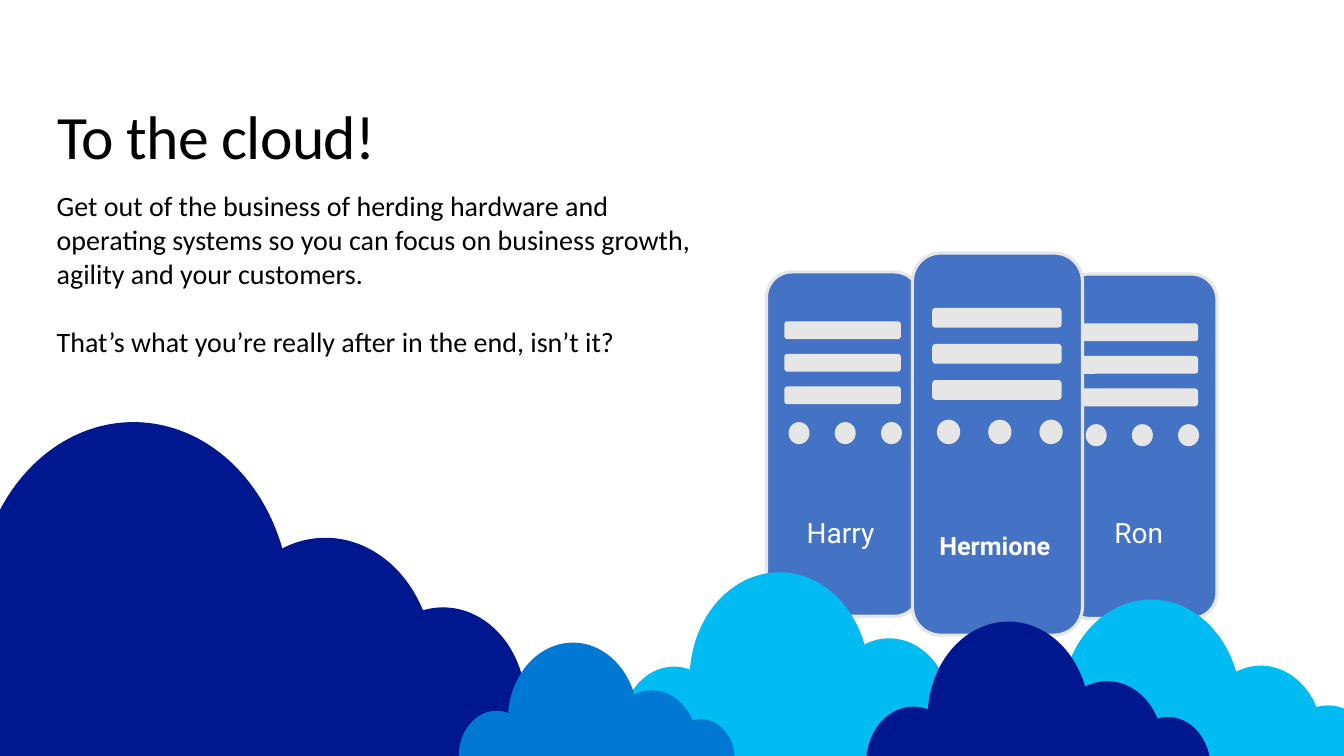
import pptx
import pptx.dml.color
import pptx.enum.shapes
import pptx.enum.text
import pptx.util

PX = 9525  # EMU per px, 96 px to the inch
COLORS = {
    "navy": "00188F", "blue": "0078D4", "cyan": "00BCF2",
    "server": "4472C4", "trim": "E6E6E6", "black": "000000", "white": "FFFFFF",
}
SHAPE = pptx.enum.shapes.MSO_SHAPE
ALIGN = pptx.enum.text.PP_ALIGN
ANCHOR = pptx.enum.text.MSO_ANCHOR

# Cloud parts in thousandths of the cloud width: kind, left, top, width, height
CLOUD_PARTS = [
    (SHAPE.OVAL, 0, 247, 274, 325),
    (SHAPE.OVAL, 178, 0, 470, 556),
    (SHAPE.OVAL, 538, 173, 324, 384),
    (SHAPE.OVAL, 752, 277, 248, 295),
    (SHAPE.RECTANGLE, 136, 383, 753, 190),
]
SERVER_WIDTH, SERVER_HEIGHT = 146, 328


def emu(*lengths):
    return [round(length * PX) for length in lengths]


def rgb(color):
    return pptx.dml.color.RGBColor.from_string(COLORS[color])


def add_solid(shapes, kind, box, color, outline=None):
    solid = shapes.add_shape(kind, *emu(*box))
    solid.shadow.inherit = False
    solid.fill.solid()
    solid.fill.fore_color.rgb = rgb(color)
    if outline:
        solid.line.color.rgb = rgb(outline)
        solid.line.width = pptx.util.Pt(2.25)
    else:
        solid.line.fill.background()


def add_cloud(slide, left, top, width, color):
    cloud = slide.shapes.add_group_shape().shapes
    for kind, x, y, w, h in CLOUD_PARTS:
        x, y, w, h = (part * width / 1000 for part in (x, y, w, h))
        add_solid(cloud, kind, (left + x, top + y, w, h), color)


def add_server(slide, left, top, width):
    scale = width / SERVER_WIDTH
    server = slide.shapes.add_group_shape().shapes

    def add_part(kind, x, y, w, h, color, outline=None):
        box = (left + x * scale, top + y * scale, w * scale, h * scale)
        add_solid(server, kind, box, color, outline)

    add_part(SHAPE.ROUNDED_RECTANGLE, 0, 0, SERVER_WIDTH, SERVER_HEIGHT, "server", "trim")
    for row in range(3):  # drive bays
        add_part(SHAPE.ROUNDED_RECTANGLE, 17, 47 + 31 * row, 111, 17, "trim")
    for column in range(3):  # lights
        add_part(SHAPE.OVAL, 21 + 44 * column, 143, 20, 21, "trim")


def add_text(slide, box, paragraphs, size, font, color, align=ALIGN.LEFT,
             anchor=ANCHOR.TOP, bold=False, gap=0):
    frame = slide.shapes.add_textbox(*emu(*box)).text_frame
    frame.word_wrap = True
    frame.auto_size = pptx.enum.text.MSO_AUTO_SIZE.SHAPE_TO_FIT_TEXT
    frame.vertical_anchor = anchor
    frame.margin_left = frame.margin_right = frame.margin_top = frame.margin_bottom = 0
    frame.text = "\n".join(paragraphs)
    for index, paragraph in enumerate(frame.paragraphs):
        paragraph.alignment = align
        if index:
            paragraph.space_before = pptx.util.Pt(gap)
        for run in paragraph.runs:
            run.font.size = pptx.util.Pt(size)
            run.font.name = font
            run.font.bold = bold
            run.font.color.rgb = rgb(color)
    return frame


def add_title(slide):
    frame = add_text(slide, (45, 99, 1012, 71), ["To the cloud!"], 44, "Calibri",
                     "black", anchor=ANCHOR.BOTTOM)
    frame.margin_left = 10 * PX
    frame.margin_top = frame.margin_bottom = 5 * PX
    headline = frame.paragraphs[0]
    headline.line_spacing = 0.9
    headline.runs[0].font._element.set("spc", "-50")


def main():
    deck = pptx.Presentation()
    deck.slide_width, deck.slide_height = emu(1280, 720)
    slide = deck.slides.add_slide(deck.slide_layouts[6])

    # Large cloud and title
    add_cloud(slide, -136, 402, 637, "navy")
    add_title(slide)

    # Servers, the tallest in front
    add_server(slide, 1013, 261, 146)
    add_server(slide, 730, 259, 146)
    add_server(slide, 869, 241, 162)
    for name, left in (("Harry", 757), ("Ron", 1041)):
        add_text(slide, (left, 491, 87, 33), [name], 20, "Roboto", "white", ALIGN.CENTER)
    add_text(slide, (891, 505, 113, 60), ["Hermione"], 18, "Roboto", "white",
             ALIGN.CENTER, bold=True)

    # Message
    add_text(slide, (54, 180, 629, 161), [
        "Get out of the business of herding hardware and operating systems so you can "
        "focus on business growth, agility and your customers.",
        "That’s what you’re really after in the end, isn’t it?",
    ], 20, "Calibri", "black", gap=24.4)

    # Clouds along the bottom, back to front
    for left, top, width, color in (
        (946, 571, 364, "cyan"),
        (592, 545, 364, "cyan"),
        (437, 612, 263, "blue"),
        (825, 592, 328, "navy"),
    ):
        add_cloud(slide, left, top, width, color)

    deck.save("out.pptx")


if __name__ == "__main__":
    main()
